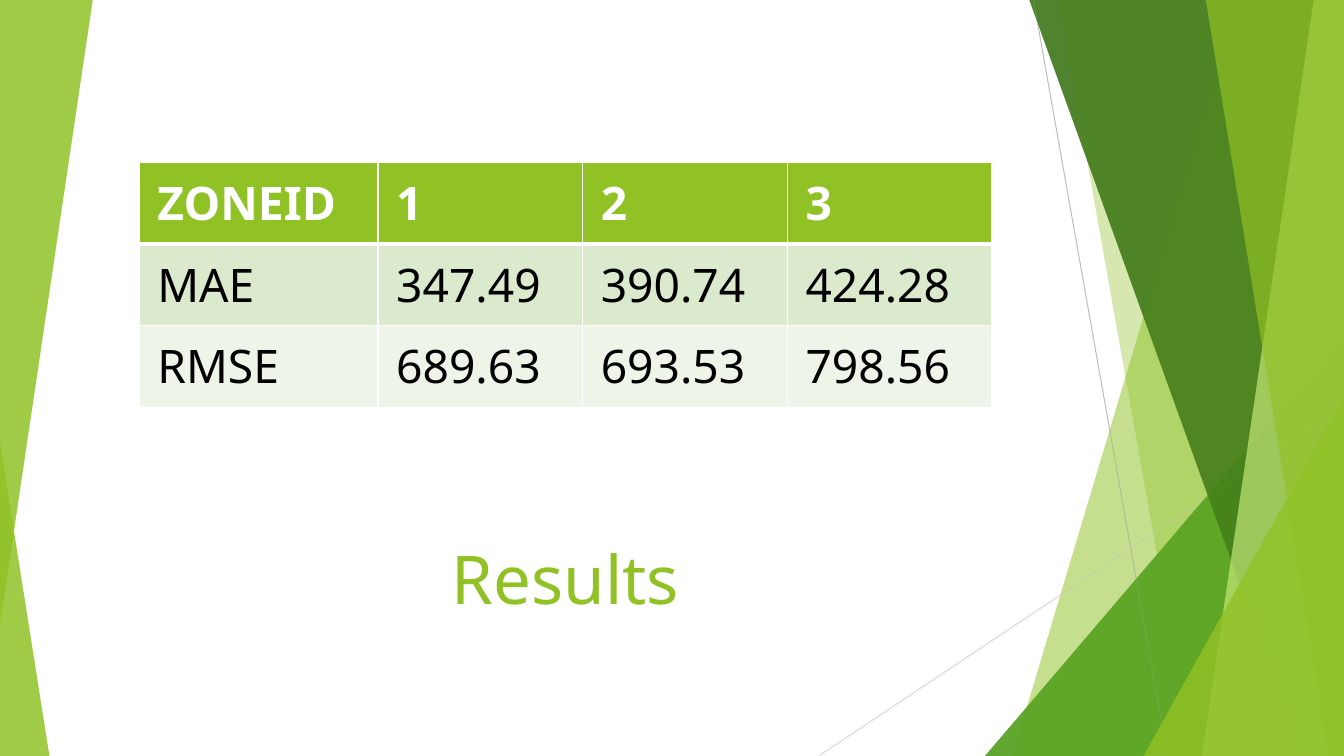
from lxml import etree
from pptx import Presentation
from pptx.dml.color import RGBColor
from pptx.enum.shapes import MSO_CONNECTOR, MSO_SHAPE
from pptx.enum.text import MSO_ANCHOR, PP_ALIGN
from pptx.oxml.ns import qn
from pptx.util import Inches, Pt

STRAIGHT = MSO_CONNECTOR.STRAIGHT
TRIANGLE = MSO_SHAPE.ISOSCELES_TRIANGLE
BOTTOM = MSO_ANCHOR.BOTTOM
CENTER = PP_ALIGN.CENTER

FONT = "Noto Sans"
C = {
    "lime": "90C226", "green": "54A021", "dark": "3F7819", "pale": "C0E474",
    "grey": "BFBFBF", "light": "D9D9D9", "band1": "DBE9CD", "band2": "EEF4E8",
    "white": "FFFFFF", "black": "000000",
}
W, H = 13.33, 7.5


def paint(sp, color, alpha):
    sp.shadow.inherit = False
    sp.fill.solid()
    sp.fill.fore_color.rgb = RGBColor.from_string(C[color])
    clr = sp.fill._xPr.find(qn("a:solidFill"))[0]
    etree.SubElement(clr, qn("a:alpha"), val=str(alpha * 1000))
    sp.line.fill.background()


def write(p, text, **fmt):
    r = p.add_run()
    r.text = text
    r.font.name = FONT
    r.font.color.rgb = RGBColor.from_string(C[fmt.pop("color")])
    for name, value in fmt.items():
        setattr(r.font, name, value)


prs = Presentation()
prs.slide_width, prs.slide_height = Inches(W), Inches(H)
s = prs.slides.add_slide(prs.slide_layouts[6])

rays = [
    ((10.25, 0, 11.58, H), "grey"),
    ((W, 4.03, 8.12, H), "light"),
]
facets = [
    ("band", (12.28, 10.04), "lime", 30),
    ("band", (10.5, 11.83), "lime", 20),
    ("triangle", (9.77, 3.33, 3.56, 4.17, 1, 0), "green", 72),
    ("band", (10.21, 12.91), "dark", 70),
    ("band", (13.03, 11.92), "pale", 70),
    ("band", (11.96, 13.18), "lime", 65),
    ("triangle", (11.34, 3.93, 1.99, 3.57, 1, 0), "lime", 80),
]
layers = [
    ([], (0, 4.39, 0.49, 3.11, 0, 0)),
    (rays, (0, 0, 0.92, 6.2, 1, 180)),
]

for layer_rays, left_edge in layers:
    shapes = s.shapes.add_group_shape().shapes
    for ends, color in layer_rays:
        ray = shapes.add_connector(STRAIGHT, *map(Inches, ends))
        ray.line.color.rgb = RGBColor.from_string(C[color])
        ray.line.width = Pt(0.75)
        etree.SubElement(ray._element.spPr, qn("a:effectLst"))
    for kind, geometry, color, alpha in facets + [("triangle", left_edge, "lime", 85)]:
        if kind == "band":
            top_x, bottom_x = geometry
            fb = shapes.build_freeform(Inches(top_x), 0)
            corners = [(W, 0), (W, H), (bottom_x, H)]
            fb.add_line_segments([(Inches(x), Inches(y)) for x, y in corners])
            sp = fb.convert_to_shape()
        else:
            *box, apex, rotation = geometry
            sp = shapes.add_shape(TRIANGLE, *map(Inches, box))
            sp.adjustments[0] = apex
            sp.rotation = rotation
        paint(sp, color, alpha)

title = s.shapes.add_textbox(Inches(1.08), Inches(4.98), Inches(9.06), Inches(1.2))
tf = title.text_frame
tf.word_wrap = True
tf.vertical_anchor = BOTTOM
tf.paragraphs[0].alignment = CENTER
write(tf.paragraphs[0], "Results", color="lime", size=Pt(48))

rows = [
    ("ZONEID", "1", "2", "3"),
    ("MAE", "347.49", "390.74", "424.28"),
    ("RMSE", "689.63", "693.53", "798.56"),
]
row_fills = ["lime", "band1", "band2"]
col_widths = [2.37, 2.03, 2.03, 2.03]
margins = {"margin_left": 0.18, "margin_right": 0.18, "margin_top": 0.09, "margin_bottom": 0.09}

table = s.shapes.add_table(len(rows), len(col_widths), Inches(1.38), Inches(1.61),
                           Inches(sum(col_widths)), Inches(2.43)).table
for col, width in zip(table.columns, col_widths):
    col.width = Inches(width)
for i, values in enumerate(rows):
    table.rows[i].height = Inches(0.81)
    header = i == 0
    for j, value in enumerate(values):
        cell = table.cell(i, j)
        for name, margin in margins.items():
            setattr(cell, name, Inches(margin))
        cell.fill.solid()
        cell.fill.fore_color.rgb = RGBColor.from_string(C[row_fills[i]])
        write(cell.text_frame.paragraphs[0], value, size=Pt(33), bold=header,
              color="white" if header else "black")
        tcPr = cell._tc.get_or_add_tcPr()
        for k, side in enumerate(["lnL", "lnR", "lnT", "lnB"]):
            thick = (side == "lnB" and i == 0) or (side == "lnT" and i == 1)
            ln = etree.Element(qn(f"a:{side}"), w=str(Pt(3 if thick else 1)))
            fill = etree.SubElement(ln, qn("a:solidFill"))
            etree.SubElement(fill, qn("a:srgbClr"), val=C["white"])
            tcPr.insert(k, ln)

prs.save("out.pptx")
